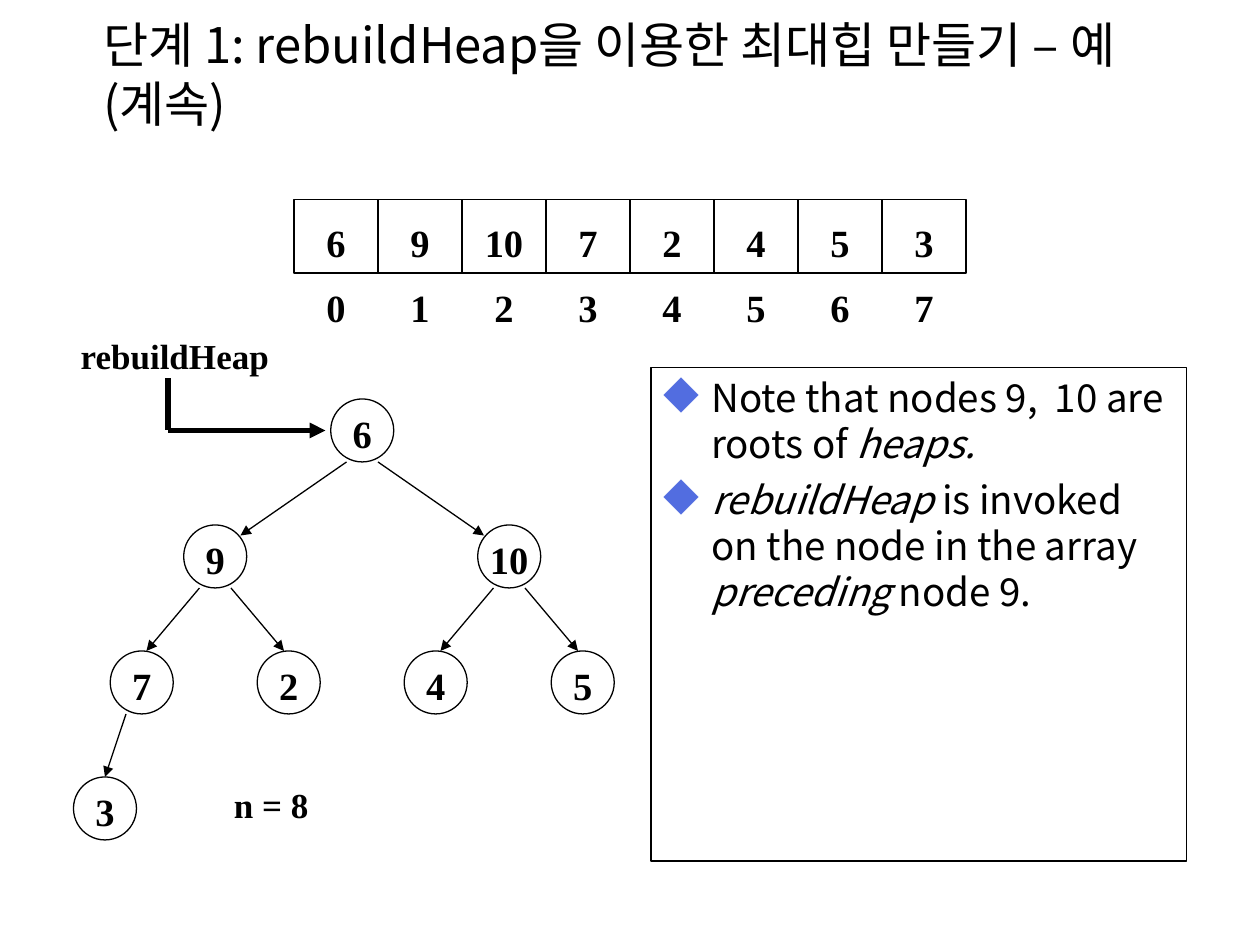
import pptx
import pptx.dml.color
import pptx.enum.shapes
import pptx.enum.text
import pptx.oxml.ns
import pptx.util
from lxml import etree

# The slide is a grid of 120 columns by 90 rows.
UNIT = pptx.util.Inches(10) // 120
SANS, SERIF = "Noto Sans CJK KR", "Times New Roman"
BLACK, BULLET = "000000", "526DE0"
SHAPES = pptx.enum.shapes.MSO_SHAPE
ANCHORS = pptx.enum.text.MSO_ANCHOR
ALIGNS = pptx.enum.text.PP_ALIGN

HEAP = [6, 9, 10, 7, 2, 4, 5, 3]
CELL_WIDTH, CELL_HEIGHT = 8, 7
ARRAY_LEFT, ARRAY_TOP = 28, 19
NODE_SIZE, LEVEL_STEP = 6, 12
ROOT_X, ROOT_TOP, ROOT_SPREAD = 34.5, 38, 14
# How far an arrow tip lies inward and below the top of a node, by level.
TIP_OFFSETS = [(0, 0), (2.4, 1), (0.45, 0), (0, 0)]


def grid(*units):
    return [round(unit * UNIT) for unit in units]


def color(hex_code):
    return pptx.dml.color.RGBColor.from_string(hex_code)


def add_child(parent, tag, **attributes):
    return etree.SubElement(parent, pptx.oxml.ns.qn(tag), attributes)


def write(para, text, size=22, font=SERIF, bold=True, italic=False):
    """Add one formatted span of text to a paragraph."""
    span = para.add_run()
    span.text = text
    span.font.size = pptx.util.Pt(size)
    span.font.bold = bold
    span.font.italic = italic
    span.font.color.rgb = color(BLACK)
    span.font.name = font
    add_child(span.font._element, "a:ea", typeface=font)


def add_label(page, text, place, wrap=True, anchor=ANCHORS.TOP,
              align=ALIGNS.LEFT, spacing=1.1, **format):
    frame = page.shapes.add_textbox(*grid(*place)).text_frame
    frame.word_wrap = wrap
    frame.vertical_anchor = anchor
    para = frame.paragraphs[0]
    para.alignment = align
    para.line_spacing = spacing
    write(para, text, **format)


def add_outline(page, kind, place):
    """Add an unfilled black outline and return it."""
    shape = page.shapes.add_shape(kind, *grid(*place))
    shape.shadow.inherit = False
    shape.fill.background()
    shape.line.color.rgb = color(BLACK)
    shape.line.width = pptx.util.Pt(0.75)
    return shape


def add_value(page, kind, value, place, drop=0):
    """Add an outline with a centred number, pushed down by drop grid rows."""
    frame = add_outline(page, kind, place).text_frame
    frame.margin_left = frame.margin_right = frame.margin_bottom = 0
    frame.margin_top = grid(drop)[0]
    frame.word_wrap = False
    frame.vertical_anchor = ANCHORS.MIDDLE
    para = frame.paragraphs[0]
    para.alignment = ALIGNS.CENTER
    para.line_spacing = 1.1
    write(para, str(value))


def add_line(page, start, end, width=0.75, arrow=True):
    line = page.shapes.add_connector(
        pptx.enum.shapes.MSO_CONNECTOR.STRAIGHT, *grid(*start, *end))
    line.line.color.rgb = color(BLACK)
    line.line.width = pptx.util.Pt(width)
    if arrow:
        add_child(line.line._get_or_add_ln(), "a:tailEnd", type="triangle")
    add_child(line._element.spPr, "a:effectLst")


def add_array(page):
    for index, value in enumerate(HEAP):
        left = ARRAY_LEFT + index * CELL_WIDTH
        add_value(page, SHAPES.RECTANGLE, value,
                  (left, ARRAY_TOP, CELL_WIDTH, CELL_HEIGHT), drop=0.7)
        add_label(page, str(index),
                  (left, ARRAY_TOP + CELL_HEIGHT, CELL_WIDTH, 6),
                  align=ALIGNS.CENTER)


def add_tree(page, index=0, x=ROOT_X, level=0):
    """Draw the node at a heap index, then its children one level down."""
    top = ROOT_TOP + level * LEVEL_STEP
    add_value(page, SHAPES.OVAL, HEAP[index],
              (x - NODE_SIZE / 2, top, NODE_SIZE, NODE_SIZE))
    inward, below = TIP_OFFSETS[min(level + 1, len(TIP_OFFSETS) - 1)]
    for child, side in ((2 * index + 1, -1), (2 * index + 2, 1)):
        if child < len(HEAP):
            child_x = x + side * ROOT_SPREAD / 2 ** level
            add_line(page, (x + side * 1.5, top + NODE_SIZE),
                     (child_x - side * inward, top + LEVEL_STEP + below))
            add_tree(page, child, child_x, level + 1)


def add_notes_box(page, notes):
    """Add the framed bullet list; each note is a list of (text, italic)."""
    frame = add_outline(page, SHAPES.RECTANGLE, (62, 35, 51, 47)).text_frame
    frame.word_wrap = True
    frame.vertical_anchor = ANCHORS.TOP
    indent = pptx.util.Inches(0.38)
    for number, note in enumerate(notes):
        para = frame.add_paragraph() if number else frame.paragraphs[0]
        para.alignment = ALIGNS.LEFT
        para.space_before = pptx.util.Pt(5.5 if number else 0)
        properties = para._p.get_or_add_pPr()
        properties.set("marL", str(indent))
        properties.set("indent", str(-indent))
        add_child(add_child(properties, "a:buClr"), "a:srgbClr", val=BULLET)
        add_child(properties, "a:buSzPct", val="120000")
        add_child(properties, "a:buChar", char="◆")
        for text, italic in note:
            write(para, text, font=SANS, bold=False, italic=italic)


def main():
    deck = pptx.Presentation()
    deck.slide_width, deck.slide_height = grid(120, 90)
    page = deck.slides.add_slide(deck.slide_layouts[6])

    add_label(page, "단계 1: rebuildHeap을 이용한 최대힙 만들기 – 예 (계속)",
              (8.64, 0.24, 102, 13.5), anchor=ANCHORS.MIDDLE, spacing=1.0,
              size=28, font=SANS, bold=False)
    add_notes_box(page, [
        [("Note that nodes 9,  10 are roots of ", False), ("heaps.", True)],
        [("rebuildHeap", True),
         (" is invoked on the node in the array ", False),
         ("preceding", True), (" node 9.", False)],
    ])
    add_array(page)
    add_tree(page)
    add_label(page, "rebuildHeap", (6.5, 30.8, 20.4, 5.7), wrap=False,
              anchor=ANCHORS.MIDDLE, size=20)
    add_line(page, (16, 36), (16, 41), width=3, arrow=False)
    add_line(page, (16, 41), (31, 41), width=3)
    add_label(page, "n = 8", (21.1, 73.6, 27.4, 5.7), size=20)
    deck.save("out.pptx")


if __name__ == "__main__":
    main()
